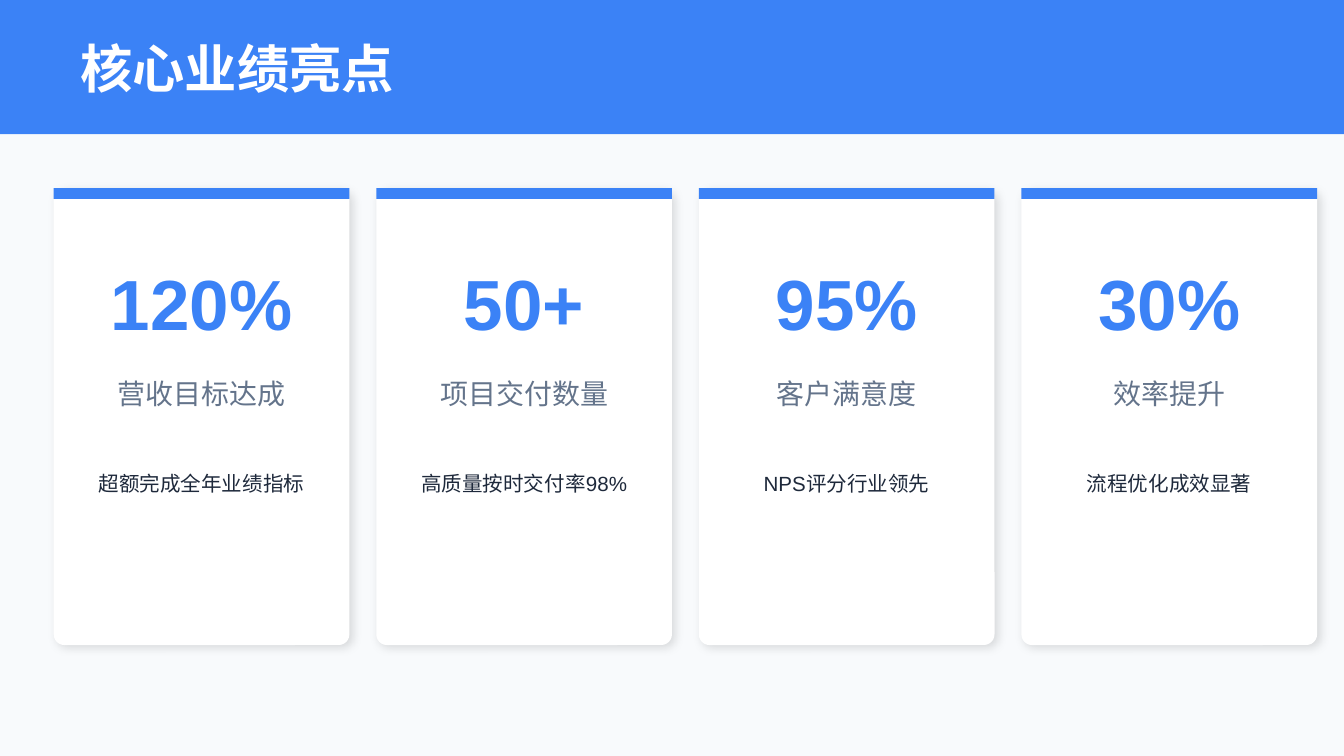
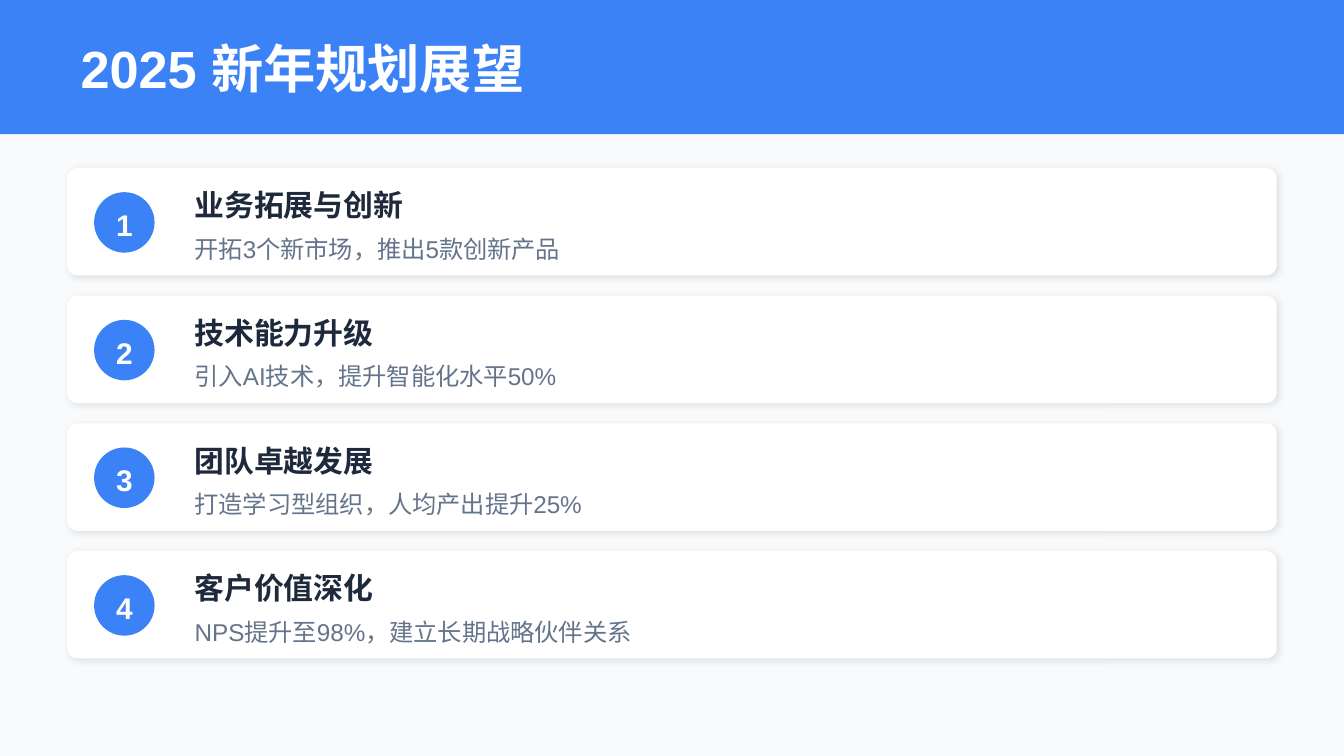
"""Build two slides: performance highlights and the plan for the new year."""
from lxml.etree import SubElement
from pptx import Presentation
from pptx.dml.color import RGBColor
from pptx.enum.shapes import MSO_SHAPE
from pptx.enum.text import MSO_ANCHOR, MSO_AUTO_SIZE, PP_ALIGN
from pptx.oxml.ns import qn
from pptx.util import Inches, Pt

HIGHLIGHTS_TITLE = "核心业绩亮点"
HIGHLIGHTS = [
    ("120%", "营收目标达成", "超额完成全年业绩指标"),
    ("50+", "项目交付数量", "高质量按时交付率98%"),
    ("95%", "客户满意度", "NPS评分行业领先"),
    ("30%", "效率提升", "流程优化成效显著"),
]

PLAN_TITLE = "2025 新年规划展望"
PLANS = [
    ("业务拓展与创新", "开拓3个新市场，推出5款创新产品"),
    ("技术能力升级", "引入AI技术，提升智能化水平50%"),
    ("团队卓越发展", "打造学习型组织，人均产出提升25%"),
    ("客户价值深化", "NPS提升至98%，建立长期战略伙伴关系"),
]

BLUE, WHITE, PALE = "3B82F6", "FFFFFF", "F8FAFC"
DARK, GRAY, BLACK = "1E293B", "64748B", "000000"
FONT = "Arial"
SLIDE_WIDTH = 10
SLIDE_HEIGHT = SLIDE_WIDTH * 9 / 16
BAND_HEIGHT = 1


def color(value):
    return RGBColor.from_string(value)


def write(shape, text, size, fill=DARK, bold=False, align=PP_ALIGN.LEFT):
    frame = shape.text_frame
    frame.word_wrap = True
    frame.auto_size = MSO_AUTO_SIZE.NONE
    frame.vertical_anchor = MSO_ANCHOR.MIDDLE
    paragraph = frame.paragraphs[0]
    paragraph.alignment = align
    run = paragraph.add_run()
    run.text = text
    run.font.name = FONT
    run.font.size = Pt(size)
    run.font.bold = bold
    run.font.color.rgb = color(fill)


def add_text(slide, box, text, **style):
    write(slide.shapes.add_textbox(*map(Inches, box)), text, **style)


def add_block(slide, kind, box, fill):
    shape = slide.shapes.add_shape(kind, *map(Inches, box))
    shape.shadow.inherit = False
    shape.fill.solid()
    shape.fill.fore_color.rgb = color(fill)
    shape.line.fill.background()
    return shape


def add_card(slide, box, rounding, opacity, blur, distance):
    card = add_block(slide, MSO_SHAPE.ROUNDED_RECTANGLE, box, WHITE)
    card.adjustments[0] = rounding
    effects = card.element.spPr.find(qn("a:effectLst"))
    shadow = SubElement(
        effects, qn("a:outerShdw"), blurRad=str(Pt(blur)), dist=str(Pt(distance)),
        dir=str(45 * 60000), algn="bl", rotWithShape="0",
    )
    tint = SubElement(shadow, qn("a:srgbClr"), val=BLACK)
    SubElement(tint, qn("a:alpha"), val=str(opacity * 1000))


def add_titled_slide(presentation, text):
    slide = presentation.slides.add_slide(presentation.slide_layouts[5])
    title = slide.shapes.title
    title.left, title.top, title.width, title.height = map(Inches, (0.5, 0.2, 9, 0.6))
    write(title, text, size=28, fill=WHITE, bold=True)
    band = add_block(slide, MSO_SHAPE.RECTANGLE, (0, 0, SLIDE_WIDTH, BAND_HEIGHT), BLUE)
    title.element.addprevious(band.element)
    body = (0, BAND_HEIGHT, SLIDE_WIDTH, SLIDE_HEIGHT)
    add_block(slide, MSO_SHAPE.RECTANGLE, body, PALE)
    return slide


def add_highlights(presentation):
    slide = add_titled_slide(presentation, HIGHLIGHTS_TITLE)
    top, width, gap = 1.4, 2.2, 0.2
    center = PP_ALIGN.CENTER
    for index, (figure, label, detail) in enumerate(HIGHLIGHTS):
        left = 0.4 + index * (width + gap)
        add_card(slide, (left, top, width, 3.4), 0.036, opacity=12, blur=5, distance=2)
        add_block(slide, MSO_SHAPE.RECTANGLE, (left, top, width, 0.08), BLUE)
        add_text(slide, (left, top + 0.4, width, 0.9), figure,
                 size=38, fill=BLUE, bold=True, align=center)
        add_text(slide, (left, top + 1.3, width, 0.45), label,
                 size=15, fill=GRAY, align=center)
        add_text(slide, (left + 0.1, top + 1.9, width - 0.2, 0.6), detail,
                 size=11, align=center)


def add_plans(presentation):
    slide = add_titled_slide(presentation, PLAN_TITLE)
    height, gap, badge = 0.8, 0.15, 0.45
    for index, (heading, detail) in enumerate(PLANS):
        top = 1.25 + index * (height + gap)
        add_card(slide, (0.5, top, 9, height), 0.1, opacity=10, blur=4, distance=1)
        add_block(slide, MSO_SHAPE.OVAL, (0.7, top + 0.18, badge, badge), BLUE)
        add_text(slide, (0.7, top + 0.22, badge, 0.4), str(index + 1),
                 size=16, fill=WHITE, bold=True, align=PP_ALIGN.CENTER)
        add_text(slide, (1.35, top + 0.1, 7.5, 0.35), heading, size=16, bold=True)
        add_text(slide, (1.35, top + 0.45, 7.5, 0.3), detail, size=13, fill=GRAY)


def main():
    presentation = Presentation()
    presentation.slide_width = Inches(SLIDE_WIDTH)
    presentation.slide_height = Inches(SLIDE_HEIGHT)
    add_highlights(presentation)
    add_plans(presentation)
    presentation.save("out.pptx")


if __name__ == "__main__":
    main()
